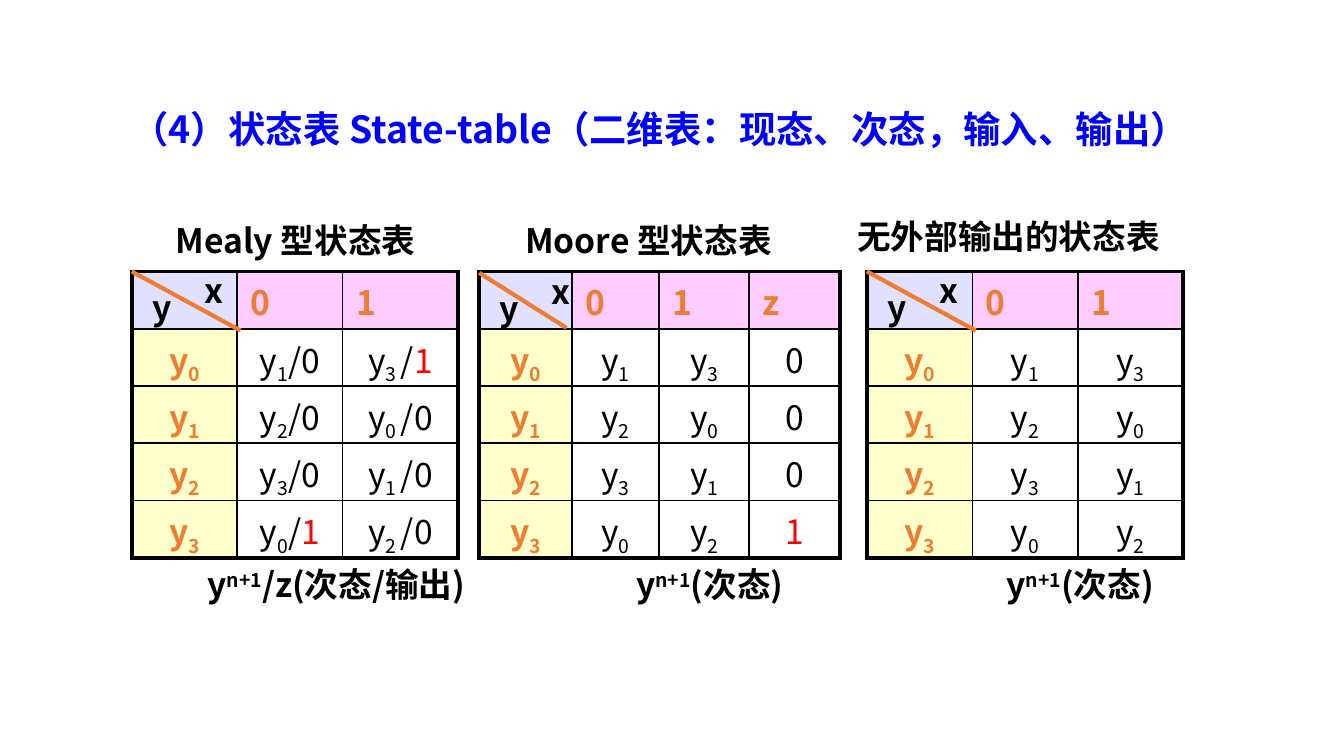
from lxml import etree
from pptx import Presentation
from pptx.dml.color import RGBColor
from pptx.enum.shapes import MSO_CONNECTOR
from pptx.enum.text import MSO_ANCHOR, PP_ALIGN
from pptx.oxml.ns import qn
from pptx.util import Pt

PX = 4572
BLACK = RGBColor(0, 0, 0)
BLUE = RGBColor(0, 0, 255)
RED = RGBColor(255, 0, 0)
ORANGE = RGBColor(0xED, 0x7D, 0x31)
WHITE = RGBColor(255, 255, 255)
LAVENDER = RGBColor(0xE1, 0xE1, 0xFF)
PINK = RGBColor(0xFF, 0xCC, 0xFF)
CREAM = RGBColor(0xFF, 0xFF, 0xCC)
JP = "Noto Sans CJK JP"
SC = "Noto Sans CJK SC"
BASELINES = {"_": "-25000", "^": "30000"}
TABLE_TOP = 404
TABLE_HEIGHT = 426
TEXT_HEIGHT = 80

MEALY = [
    ["", "0", "1"],
    ["y|_0", "y|_1|/0", "y|_3 |/|!1"],
    ["y|_1", "y|_2|/0", "y|_0 |/0"],
    ["y|_2", "y|_3|/0", "y|_1 |/0"],
    ["y|_3", "y|_0|/|!1", "y|_2 |/0"],
]
MOORE = [
    ["", "0", "1", "z"],
    ["y|_0", "y|_1", "y|_3", "0"],
    ["y|_1", "y|_2", "y|_0", "0"],
    ["y|_2", "y|_3", "y|_1", "0"],
    ["y|_3", "y|_0", "y|_2", "!1"],
]
NO_OUTPUT = [row[:3] for row in MOORE]


def px(n):
    return int(n * PX)


def write(p, text, font, color, size=18, bold=True):
    for part in text.split("|"):
        r = p.add_run()
        mark = part[:1]
        r.text = part[1:] if mark in ("_", "^", "!") else part
        if mark in BASELINES:
            r.font._element.set("baseline", BASELINES[mark])
        if mark == "!":
            r.font.color.rgb = RED
    f = p.font
    f.size, f.bold, f.name = Pt(size), bold, font
    f.color.rgb = color
    etree.SubElement(f._element, qn("a:ea"), typeface=font)


def add_text(s, x, y, w, text, h=TEXT_HEIGHT, font=JP, color=BLACK, size=18,
             spacing=None):
    tf = s.shapes.add_textbox(px(x), px(y), px(w), px(h)).text_frame
    tf.word_wrap = True
    p = tf.paragraphs[0]
    p.line_spacing = spacing
    write(p, text, font, color, size)


def set_borders(cell, widths):
    tcPr = cell._tc.get_or_add_tcPr()
    for i, (side, width) in enumerate(zip("LRTB", widths)):
        ln = etree.Element(qn(f"a:ln{side}"), w=str(Pt(width)))
        fill = etree.SubElement(ln, qn("a:solidFill"))
        etree.SubElement(fill, qn("a:srgbClr"), val=str(BLACK))
        tcPr.insert(i, ln)


def cell_style(row, col):
    if row == 0:
        return (PINK if col else LAVENDER), ORANGE, True
    return (WHITE, BLACK, False) if col else (CREAM, ORANGE, True)


def add_state_table(s, x, widths, rows):
    n_rows, n_cols = len(rows), len(widths)
    table = s.shapes.add_table(n_rows, n_cols, px(x), px(TABLE_TOP),
                               px(sum(widths)), px(TABLE_HEIGHT)).table
    for col, width in zip(table.columns, widths):
        col.width = px(width)
    for i, row in enumerate(rows):
        table.rows[i].height = px(TABLE_HEIGHT / n_rows)
        for j, text in enumerate(row):
            cell = table.cell(i, j)
            fill, color, bold = cell_style(i, j)
            cell.fill.solid()
            cell.fill.fore_color.rgb = fill
            cell.vertical_anchor = MSO_ANCHOR.MIDDLE
            cell.margin_top = cell.margin_bottom = px(8)
            cell.margin_left = cell.margin_right = px(20)
            p = cell.text_frame.paragraphs[0]
            p.alignment = PP_ALIGN.CENTER if i else PP_ALIGN.LEFT
            if text:
                write(p, text, SC, color, bold=bold)
            outer = (j == 0, j == n_cols - 1, i == 0, i == n_rows - 1)
            set_borders(cell, [2.25 if edge else 1 for edge in outer])


def add_corner(s, x, y, w, h):
    line = s.shapes.add_connector(MSO_CONNECTOR.STRAIGHT, px(x), px(y),
                                  px(x + w), px(y + h))
    line.line.color.rgb = ORANGE
    line.line.width = Pt(2.25)
    etree.SubElement(line._element.spPr, qn("a:effectLst"))
    add_text(s, x + 88, y - 12, 118, "x", font=SC)
    add_text(s, x + 11, y + 13, 118, "y", font=SC)


def main():
    prs = Presentation()
    prs.slide_width, prs.slide_height = px(2000), px(1125)
    s = prs.slides.add_slide(prs.slide_layouts[6])

    add_text(s, 176, 156, 1632,
             "（4）状态表 State-table（二维表：现态、次态，输入、输出）",
             h=112, color=BLUE, size=20, spacing=0.9)

    add_text(s, 242, 317, 456, "Mealy 型状态表")
    add_state_table(s, 196, [157, 157, 172], MEALY)
    add_corner(s, 196, 404, 162, 88)
    add_text(s, 289, 830, 428, "y|^n+1|/z(次态/输出)")

    add_text(s, 762, 317, 472, "Moore 型状态表")
    add_state_table(s, 713, [138, 130, 134, 135], MOORE)
    add_corner(s, 713, 406, 130, 82)
    add_text(s, 927, 830, 310, "y|^n+1|(次态)")

    add_text(s, 1256, 312, 530, "无外部输出的状态表")
    add_state_table(s, 1290, [157, 157, 157], NO_OUTPUT)
    add_corner(s, 1290, 404, 162, 88)
    add_text(s, 1478, 830, 310, "y|^n+1|(次态)")

    prs.save("out.pptx")


if __name__ == "__main__":
    main()
